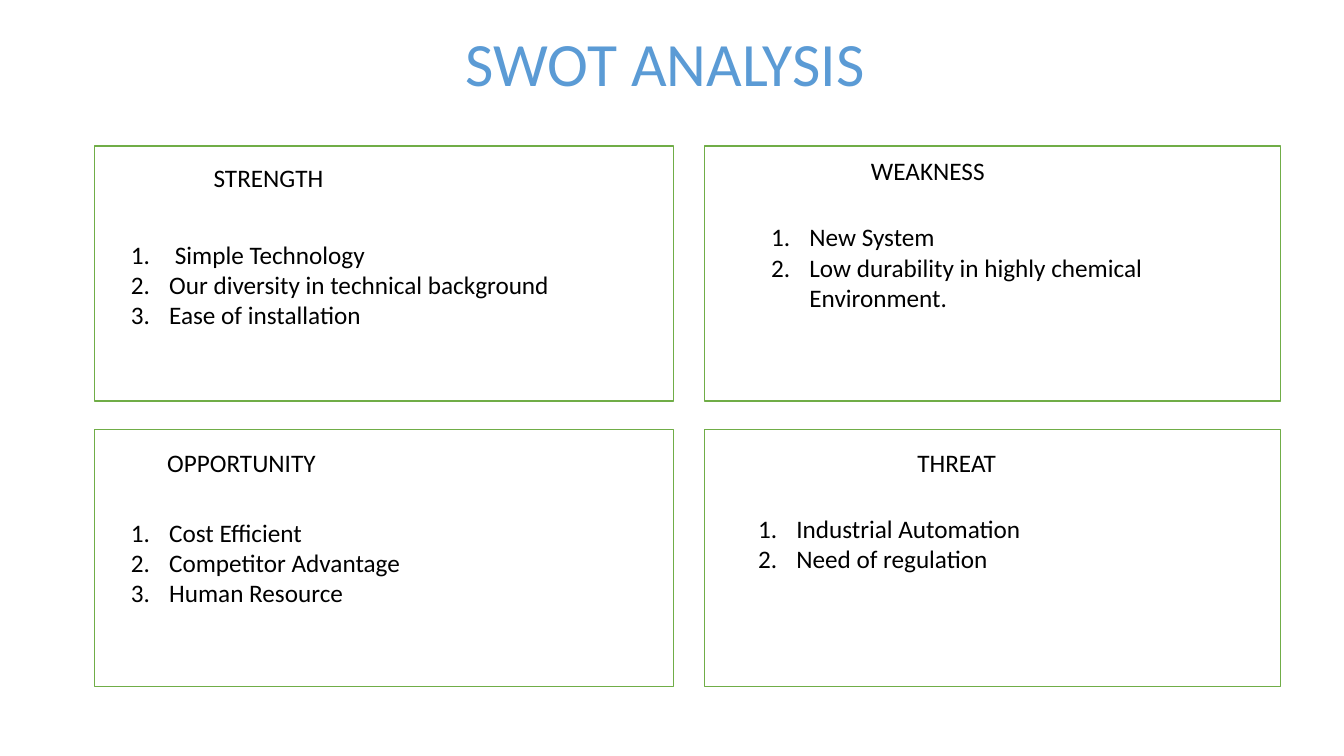
import dataclasses

import lxml.etree
import pptx
import pptx.dml.color
import pptx.enum.shapes
import pptx.enum.text
import pptx.oxml.ns
import pptx.util

EMU_PER_PX = 9144


@dataclasses.dataclass(frozen=True)
class Theme:
    font: str = "Calibri"
    title_size: int = 44
    body_size: int = 18
    title_color: str = "5B9BD5"
    text_color: str = "000000"
    panel_fill: str = "FFFFFF"
    panel_line: str = "70AD47"
    line_width: int = 1
    number_indent: int = 38


THEME = Theme()

COLUMNS = [(94, 574), (699, 571)]
ROWS = [(145, 253), (426, 255)]

QUADRANTS = [
    (0, 0, "STRENGTH", (202, 156, 359, 40), (120, 232, 534, 131),
     [" Simple Technology", "Our diversity in technical background", "Ease of installation"]),
    (1, 0, "WEAKNESS", (854, 149, 359, 40), (755, 215, 484, 101),
     ["New System", "Low durability in highly chemical Environment."]),
    (0, 1, "OPPORTUNITY", (156, 439, 451, 40), (120, 508, 514, 101),
     ["Cost Efficient", "Competitor Advantage", "Human Resource"]),
    (1, 1, "THREAT", (900, 439, 313, 40), (742, 504, 484, 71),
     ["Industrial Automation", "Need of regulation"]),
]


def px(length):
    return pptx.util.Emu(length * EMU_PER_PX)


def rgb(value):
    return pptx.dml.color.RGBColor.from_string(value)


def number_paragraph(para):
    properties = para._p.get_or_add_pPr()
    indent = px(THEME.number_indent)
    properties.set("marL", str(indent))
    properties.set("indent", str(-indent))
    bullet = lxml.etree.SubElement(properties, pptx.oxml.ns.qn("a:buAutoNum"))
    bullet.set("type", "arabicPeriod")


def add_text(page, bounds, lines, size, color, centered=False, numbered=False):
    box = page.shapes.add_textbox(*map(px, bounds))
    frame = box.text_frame
    frame.word_wrap = True
    frame.auto_size = pptx.enum.text.MSO_AUTO_SIZE.SHAPE_TO_FIT_TEXT
    for index, line in enumerate(lines):
        para = frame.add_paragraph() if index else frame.paragraphs[0]
        if centered:
            para.alignment = pptx.enum.text.PP_ALIGN.CENTER
        if numbered:
            number_paragraph(para)
        span = para.add_run()
        span.text = line
        span.font.name = THEME.font
        span.font.size = pptx.util.Pt(size)
        span.font.color.rgb = rgb(color)


def add_panel(page, column, row):
    left, width = COLUMNS[column]
    top, height = ROWS[row]
    panel = page.shapes.add_shape(
        pptx.enum.shapes.MSO_SHAPE.RECTANGLE, *map(px, (left, top, width, height)))
    panel.shadow.inherit = False
    panel.fill.solid()
    panel.fill.fore_color.rgb = rgb(THEME.panel_fill)
    panel.line.color.rgb = rgb(THEME.panel_line)
    panel.line.width = pptx.util.Pt(THEME.line_width)


def add_quadrant(page, column, row, heading, heading_bounds, list_bounds, items):
    add_panel(page, column, row)
    add_text(page, heading_bounds, [heading], THEME.body_size, THEME.text_color)
    add_text(page, list_bounds, items, THEME.body_size, THEME.text_color, numbered=True)


def main():
    deck = pptx.Presentation()
    deck.slide_width = px(1333)
    deck.slide_height = px(750)
    page = deck.slides.add_slide(deck.slide_layouts[6])
    add_text(page, (64, 20, 1206, 84), ["SWOT ANALYSIS "],
             THEME.title_size, THEME.title_color, centered=True)
    for quadrant in QUADRANTS:
        add_quadrant(page, *quadrant)
    deck.save("out.pptx")


if __name__ == "__main__":
    main()
